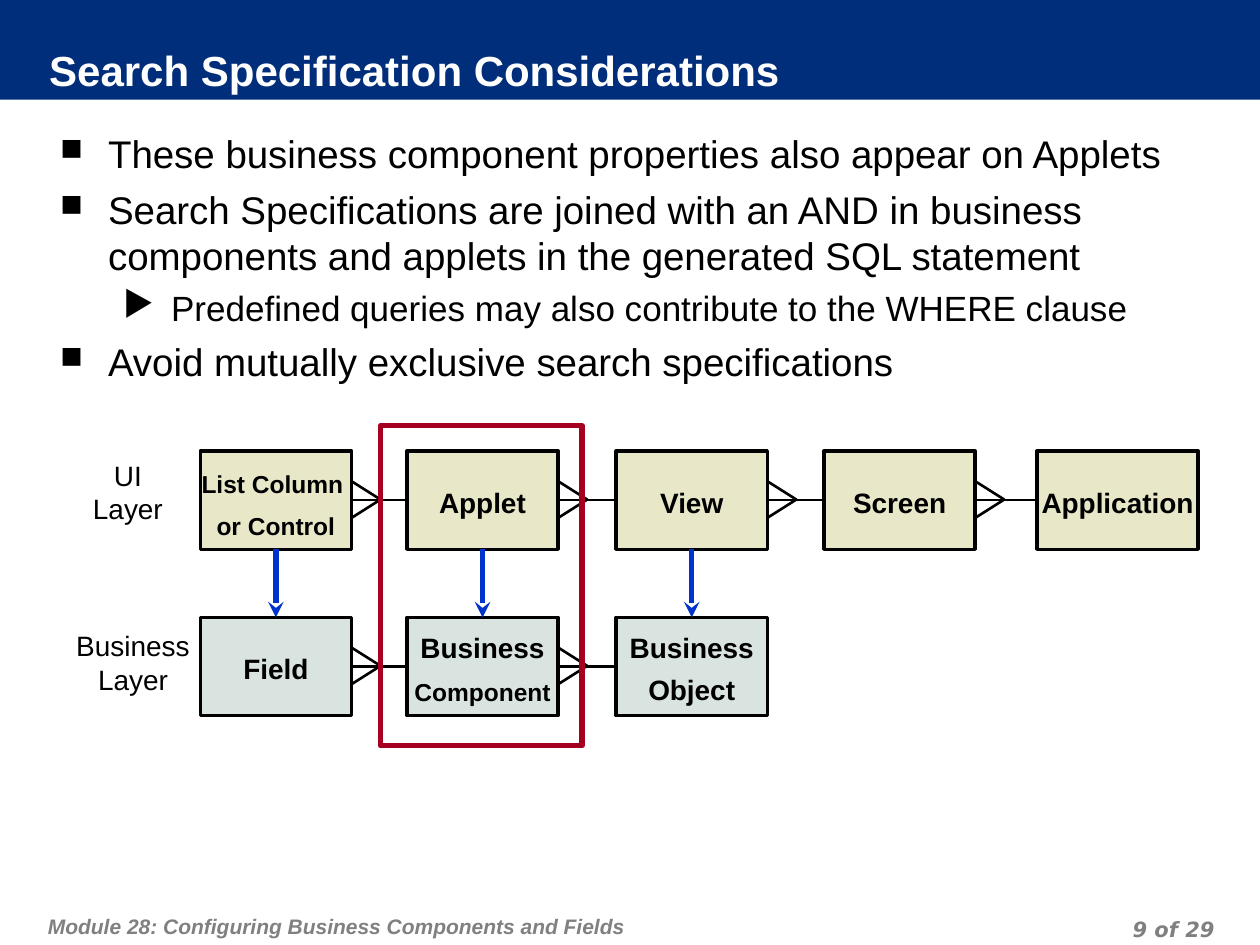
from dataclasses import dataclass
from typing import Any, NamedTuple

from lxml.etree import SubElement
from pptx import Presentation
from pptx.dml.color import RGBColor
from pptx.enum.shapes import MSO_CONNECTOR as Connector, MSO_SHAPE as Shape
from pptx.enum.text import MSO_ANCHOR as Anchor, MSO_AUTO_SIZE as AutoSize, PP_ALIGN as Align
from pptx.oxml.ns import qn
from pptx.util import Emu, Pt

PX = 9144  # 100 px to the inch
TOP, LEFT, BOTTOM, RIGHT = range(4)


@dataclass(frozen=True)
class Theme:
    navy: str = "002E7A"
    white: str = "FFFFFF"
    black: str = "000000"
    grey: str = "808080"
    cream: str = "E8E8C9"
    mist: str = "D9E3E0"
    blue: str = "0033CC"
    red: str = "A50021"
    font: str = "Arial"
    page_font: str = "DejaVu Sans"
    title: int = 24
    body: int = 22
    sub_body: int = 20
    label: int = 16
    small: int = 14
    footer: int = 12


THEME = Theme()


class Area(NamedTuple):
    left: int
    top: int
    width: int
    height: int


class Line(NamedTuple):
    text: str
    size: int


class Bullet(NamedTuple):
    line: Line
    char: str
    percent: int
    indent: int
    before: float


class Node(NamedTuple):
    lines: list[Line]
    left: int
    width: int = 120


class Layer(NamedTuple):
    top: int
    fill: str
    nodes: list[Node]


def square(text: str) -> Bullet:
    return Bullet(Line(text, THEME.body), "■", 80, 38, 5.5)


def triangle(text: str) -> Bullet:
    return Bullet(Line(text, THEME.sub_body), "▶", 100, 88, 5)


def label(*texts: str, size: int = THEME.label) -> list[Line]:
    return [Line(text, size) for text in texts]


BULLETS = [
    square("These business component properties also appear on Applets"),
    square("Search Specifications are joined with an AND in business components "
           "and applets in the generated SQL statement"),
    triangle("Predefined queries may also contribute to the WHERE clause"),
    square("Avoid mutually exclusive search specifications"),
]
COLUMNS = [159, 323, 489, 654, 823]
UI_LAYER = Layer(358, THEME.cream, [
    Node(label("List Column ", "or Control", size=THEME.small), COLUMNS[0]),
    Node(label("Applet"), COLUMNS[1]),
    Node(label("View"), COLUMNS[2]),
    Node(label("Screen"), COLUMNS[3]),
    Node(label("Application"), COLUMNS[4], 128),
])
BUSINESS_LAYER = Layer(490, THEME.mist, [
    Node(label("Field"), COLUMNS[0]),
    Node(label("Business") + label("Component", size=THEME.small), COLUMNS[1]),
    Node(label("Business", "Object"), COLUMNS[2]),
])
NODE_HEIGHT = 78
FOOT = Area(0, 23, 49, 31)  # crow's foot; top is relative to its node
FOOT_OVERLAP = 26


def apply(target: Any, **values: Any) -> None:
    for name, value in values.items():
        setattr(target, name, value)


def emu(area: Area) -> list[Emu]:
    return [Emu(length * PX) for length in area]


def set_frame(frame, insets: Area, anchor=Anchor.TOP, wrap: bool = True) -> None:
    """Insets run left, top, right, bottom."""
    left, top, right, bottom = emu(insets)
    apply(frame, margin_left=left, margin_top=top, margin_right=right, margin_bottom=bottom,
          vertical_anchor=anchor, word_wrap=wrap, auto_size=AutoSize.NONE)


def write(frame, lines: list[Line], color: str = THEME.black, font: str = THEME.font,
          bold: bool = False, italic: bool = False, **para_format: Any) -> list:
    """Fill the frame with one paragraph a line and return the paragraphs."""
    paras = [frame.paragraphs[0]] + [frame.add_paragraph() for _ in lines[1:]]
    for para, line in zip(paras, lines):
        apply(para, **para_format)
        span = para.add_run()
        span.text = line.text
        apply(span.font, name=font, size=Pt(line.size), bold=bold, italic=italic)
        span.font.color.rgb = RGBColor.from_string(color)
    return paras


def add_shape(page, kind, area: Area, fill: str = "", line: str = "", weight: float = 0):
    shape = page.shapes.add_shape(kind, *emu(area))
    shape.shadow.inherit = False
    if fill:
        shape.fill.solid()
        shape.fill.fore_color.rgb = RGBColor.from_string(fill)
    else:
        shape.fill.background()
    if line:
        shape.line.color.rgb = RGBColor.from_string(line)
        shape.line.width = Pt(weight)
    else:
        shape.line.fill.background()
    return shape


def add_text(page, area: Area, insets: Area, anchor=Anchor.TOP, wrap: bool = True):
    frame = page.shapes.add_textbox(*emu(area)).text_frame
    set_frame(frame, insets, anchor, wrap)
    return frame


def add_bullets(page, bullets: list[Bullet]) -> None:
    frame = add_text(page, Area(38, 93, 930, 618), Area(10, 10, 10, 5))
    paras = write(frame, [bullet.line for bullet in bullets])
    for index, (para, bullet) in enumerate(zip(paras, bullets)):
        props = para._p.get_or_add_pPr()
        props.set("marL", str(bullet.indent * PX))
        props.set("indent", str(-38 * PX))
        color = SubElement(props, qn("a:buClr"))
        SubElement(color, qn("a:srgbClr"), val=THEME.black)
        SubElement(props, qn("a:buSzPct"), val=str(bullet.percent * 1000))
        SubElement(props, qn("a:buChar"), char=bullet.char)
        para.space_before = Pt(bullet.before if index else 0)


def add_link(page, start, start_side: int, end, end_side: int, color: str, weight: float,
             arrow: bool = False) -> None:
    link = page.shapes.add_connector(Connector.STRAIGHT, 0, 0, 0, 0)
    link.begin_connect(start, start_side)
    link.end_connect(end, end_side)
    link.line.color.rgb = RGBColor.from_string(color)
    link.line.width = Pt(weight)
    if arrow:
        SubElement(link.line._get_or_add_ln(), qn("a:tailEnd"), type="stealth")
    SubElement(link._element.spPr, qn("a:effectLst"))


def add_node(page, node: Node, layer: Layer):
    box = add_shape(page, Shape.RECTANGLE, Area(node.left, layer.top, node.width, NODE_HEIGHT),
                    layer.fill, THEME.black, 2)
    set_frame(box.text_frame, Area(5, 10, 5, 5), Anchor.MIDDLE, wrap=False)
    paras = write(box.text_frame, node.lines, bold=True, alignment=Align.CENTER,
                  line_spacing=Pt(18))
    for para in paras[1:]:
        para.space_before = Pt(6)
    return box


def add_layer(page, layer: Layer) -> list:
    """Draw a row of nodes; each crow's foot lies half hidden behind its node."""
    for node in layer.nodes[:-1]:
        add_shape(page, Shape.DIAMOND,
                  FOOT._replace(left=node.left + node.width - FOOT_OVERLAP,
                                top=layer.top + FOOT.top), line=THEME.black, weight=1.5)
    boxes = [add_node(page, node, layer) for node in layer.nodes]
    for box, following in zip(boxes, boxes[1:]):
        add_link(page, following, LEFT, box, RIGHT, THEME.black, 1.5)
    return boxes


def main() -> None:
    deck = Presentation()
    deck.slide_width, deck.slide_height = Emu(1000 * PX), Emu(750 * PX)
    page = deck.slides.add_slide(deck.slide_layouts[5])

    title = page.shapes.title
    banner = add_shape(page, Shape.RECTANGLE, Area(0, 0, 1000, 79), THEME.navy)
    title._element.addprevious(banner._element)
    left, top, width, height = emu(Area(39, 38, 917, 40))
    apply(title, left=left, top=top, width=width, height=height)
    set_frame(title.text_frame, Area(0, 0, 5, 5), Anchor.MIDDLE)
    write(title.text_frame, [Line("Search Specification Considerations", THEME.title)],
          THEME.white, bold=True, alignment=Align.LEFT)

    footer = {"color": THEME.grey, "bold": True, "italic": True, "line_spacing": Pt(18)}
    write(add_text(page, Area(33, 710, 618, 40), Area(5, 10, 5, 5)),
          [Line("Module 28: Configuring Business Components and Fields", THEME.footer)], **footer)
    write(add_text(page, Area(736, 722, 233, 25), Area(5, 0, 5, 0)),
          [Line("9 of 29", THEME.footer)], font=THEME.page_font, alignment=Align.RIGHT, **footer)

    add_bullets(page, BULLETS)
    ui_boxes, business_boxes = add_layer(page, UI_LAYER), add_layer(page, BUSINESS_LAYER)
    for upper, lower in zip(ui_boxes, business_boxes):
        add_link(page, upper, BOTTOM, lower, TOP, THEME.blue, 3, arrow=True)
    for name, area in (("UI", Area(56, 364, 91, 53)), ("Business", Area(60, 493, 91, 65))):
        write(add_text(page, area, Area(10, 5, 10, 5), Anchor.MIDDLE, wrap=False),
              label(name, "Layer"), alignment=Align.CENTER)
    add_shape(page, Shape.RECTANGLE, Area(302, 338, 160, 254), line=THEME.red, weight=3)

    deck.save("out.pptx")


if __name__ == "__main__":
    main()
